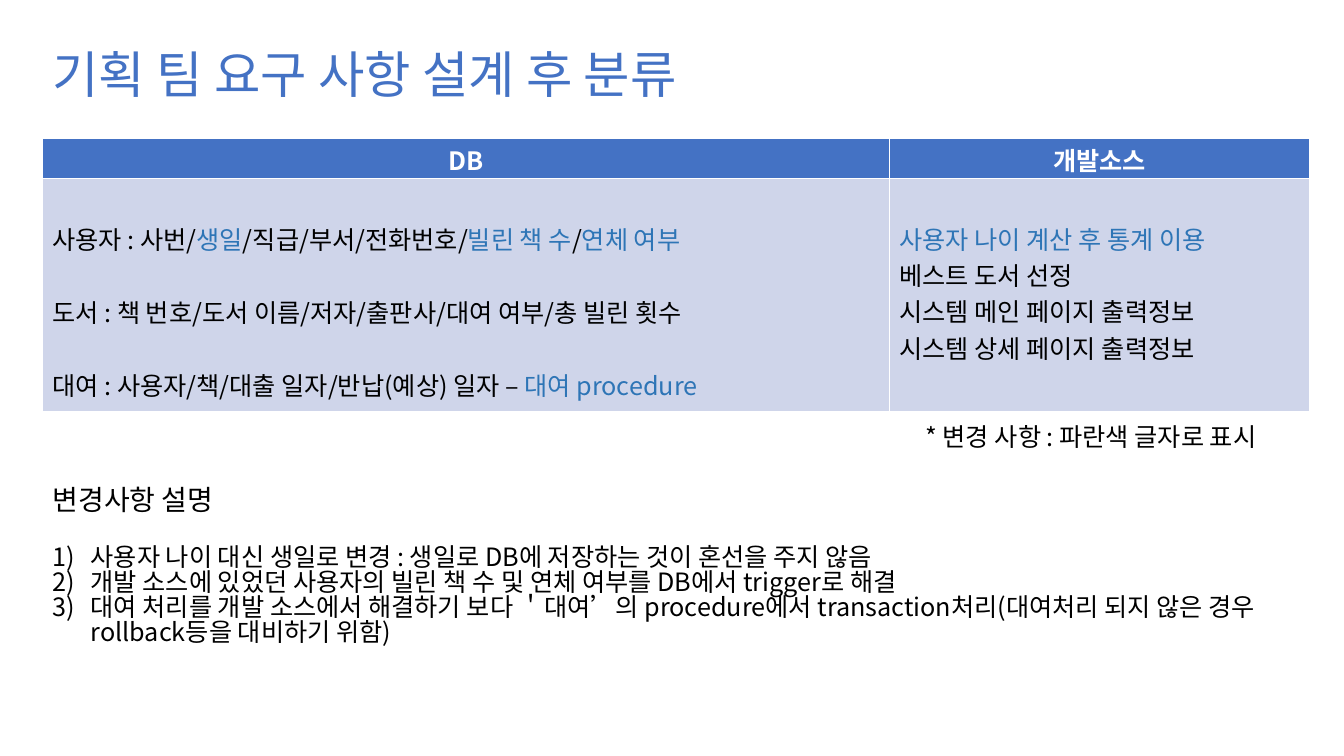
from lxml.etree import SubElement
from pptx import Presentation
from pptx.dml.color import RGBColor
from pptx.enum.text import MSO_ANCHOR, MSO_AUTO_SIZE, PP_ALIGN
from pptx.oxml.ns import qn
from pptx.util import Inches, Pt

FONT = "Noto Sans CJK KR"
BLACK, WHITE, HEADER_BLUE, CHANGED_BLUE = "000000", "FFFFFF", "4472C4", "2E75B6"
BODY_FILL = "CFD5EA"
COMPACT = 0.83  # line spacing of everything outside the table body

DB_FIELDS = [
    [("사용자 : 사번/", BLACK), ("생일", CHANGED_BLUE), ("/직급/부서/전화번호/", BLACK),
     ("빌린 책 수", CHANGED_BLUE), ("/", BLACK), ("연체 여부", CHANGED_BLUE)],
    [("도서 : 책 번호/도서 이름/저자/출판사/대여 여부/총 빌린 횟수", BLACK)],
    [("대여 : 사용자/책/대출 일자/반납(예상) 일자 – ", BLACK), ("대여 procedure", CHANGED_BLUE)],
]
SOURCE_TASKS = [
    [("사용자 나이 계산 후 통계 이용", CHANGED_BLUE)],
    [("베스트 도서 선정", BLACK)],
    [("시스템 메인 페이지 출력정보", BLACK)],
    [("시스템 상세 페이지 출력정보", BLACK)],
]
CHANGES = [
    "사용자 나이 대신 생일로 변경 : 생일로 DB에 저장하는 것이 혼선을 주지 않음",
    "개발 소스에 있었던 사용자의 빌린 책 수 및 연체 여부를 DB에서 trigger로 해결",
    "대여 처리를 개발 소스에서 해결하기 보다 ＇대여’의 procedure에서 "
    "transaction처리(대여처리 되지 않은 경우 rollback등을 대비하기 위함)",
]


def rgb(color):
    return RGBColor.from_string(color)


def write(paragraph, runs, size=18, bold=False, spacing=COMPACT, align=PP_ALIGN.LEFT):
    """Fill a paragraph with (text, colour) runs."""
    paragraph.alignment = align
    paragraph.line_spacing = spacing
    paragraph.space_before = paragraph.space_after = Pt(0)
    for text, color in runs:
        run = paragraph.add_run()
        run.text = text
        run.font.size = Pt(size)
        run.font.bold = bold
        run.font.name = FONT
        run.font.color.rgb = rgb(color)
        SubElement(run.font._element, qn("a:ea"), typeface=FONT)


def set_bullet(paragraph, indent=0.0, numbered=False):
    properties = paragraph._p.get_or_add_pPr()
    properties.set("marL", str(Inches(indent)))
    properties.set("indent", str(-Inches(indent)))
    if numbered:
        SubElement(properties, qn("a:buFont"), typeface=FONT)
        SubElement(properties, qn("a:buAutoNum"), type="arabicParenR")
    else:
        SubElement(properties, qn("a:buNone"))


def next_paragraph(frame):
    """Return the still empty first paragraph, or a new one."""
    first = frame.paragraphs[0]
    return frame.add_paragraph() if first.runs else first


def place(shape, left, top, width, height, anchor=MSO_ANCHOR.TOP):
    shape.left, shape.top = Inches(left), Inches(top)
    shape.width, shape.height = Inches(width), Inches(height)
    frame = shape.text_frame
    frame.word_wrap = True
    frame.auto_size = MSO_AUTO_SIZE.NONE
    frame.vertical_anchor = anchor
    return frame


def fill_cell(cell, fill, lines, margin_top=0.05, margin_bottom=0.05, **style):
    cell.fill.solid()
    cell.fill.fore_color.rgb = rgb(fill)
    cell.margin_top, cell.margin_bottom = Inches(margin_top), Inches(margin_bottom)
    for runs in lines:
        write(next_paragraph(cell.text_frame), runs, **style)


def add_requirements(slide):
    table = slide.shapes.add_table(
        2, 2, Inches(0.42), Inches(1.37), Inches(12.57), Inches(2.71)).table
    for column, width in zip(table.columns, (8.4, 4.17)):
        column.width = Inches(width)
    for row, height in zip(table.rows, (0.4, 2.31)):
        row.height = Inches(height)
    for index, heading in enumerate(("DB", "개발소스")):
        fill_cell(table.cell(0, index), HEADER_BLUE, [[(heading, WHITE)]],
                  margin_top=0.08, margin_bottom=0.02, bold=True, align=PP_ALIGN.CENTER)
    fill_cell(table.cell(1, 0), BODY_FILL, DB_FIELDS, spacing=2.0)
    fill_cell(table.cell(1, 1), BODY_FILL, SOURCE_TASKS, margin_top=0.41, spacing=1.0)


def add_note(slide, text):
    note = slide.shapes.add_textbox(0, 0, 0, 0)
    frame = place(note, 9.08, 4.18, 4.1, 1.01)
    write(frame.paragraphs[0], [(text, BLACK)])


def fill_explanation(body):
    frame = place(body, 0.42, 4.79, 12.57, 1.95)
    heading = frame.paragraphs[0]
    write(heading, [("변경사항 설명", BLACK)], size=20)
    heading.space_after = Pt(21.6)
    set_bullet(heading)
    for change in CHANGES:
        item = next_paragraph(frame)
        write(item, [(change, BLACK)])
        set_bullet(item, 0.38, numbered=True)


def main():
    presentation = Presentation()
    presentation.slide_width, presentation.slide_height = Inches(13.33), Inches(7.5)
    slide = presentation.slides.add_slide(presentation.slide_layouts[1])
    title, body = slide.placeholders
    title_frame = place(title, 0.42, 0.42, 8.21, 0.71, MSO_ANCHOR.MIDDLE)
    write(title_frame.paragraphs[0], [("기획 팀 요구 사항 설계 후 분류", HEADER_BLUE)], size=36)
    add_requirements(slide)
    add_note(slide, "* 변경 사항 : 파란색 글자로 표시")
    fill_explanation(body)
    presentation.save("out.pptx")


if __name__ == "__main__":
    main()
